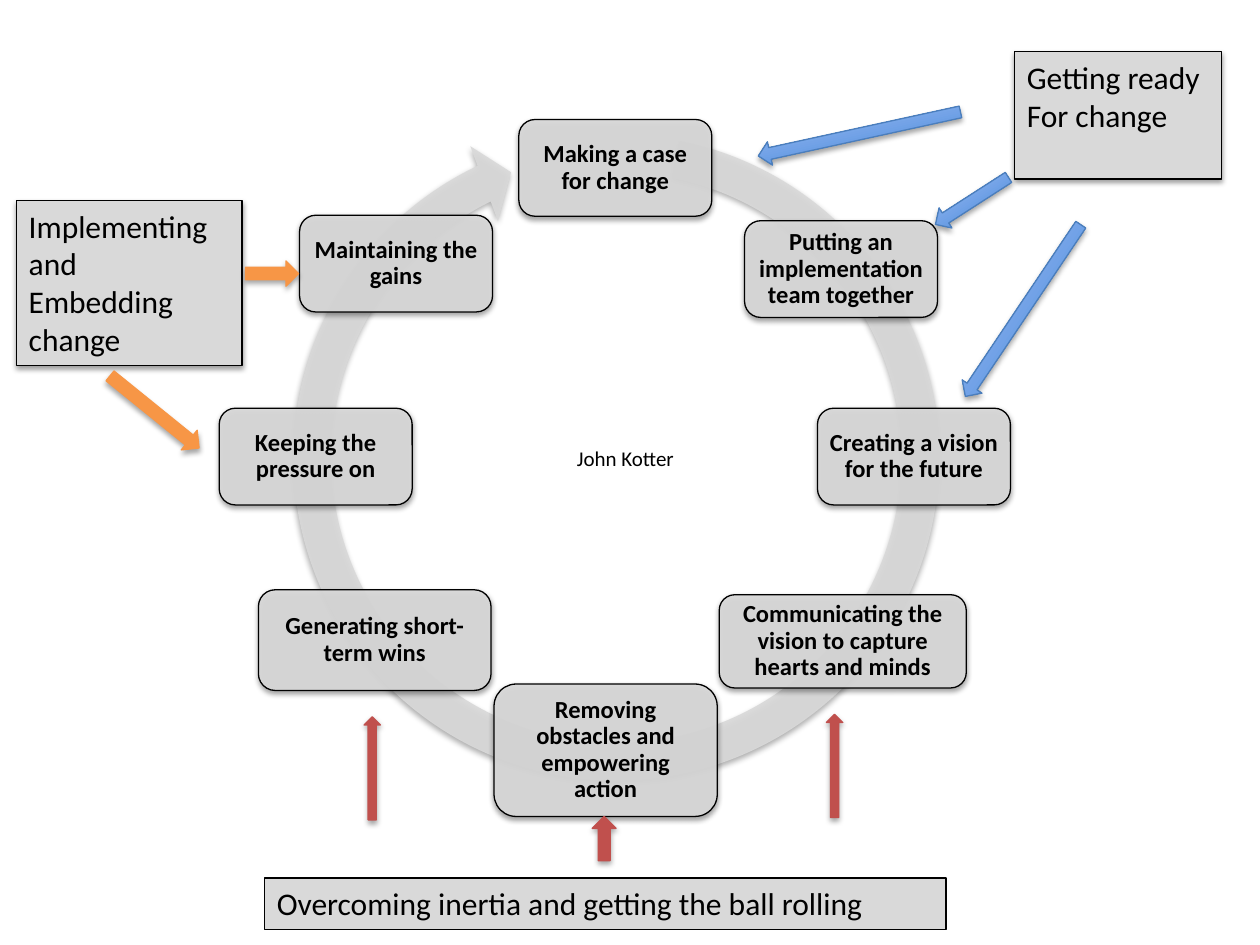
from dataclasses import dataclass

import lxml.etree
import pptx
import pptx.dml.color
import pptx.enum.shapes
import pptx.enum.text
import pptx.oxml.ns
import pptx.util

Cm = pptx.util.Cm
Pt = pptx.util.Pt
SHAPES = pptx.enum.shapes.MSO_SHAPE
ALIGN = pptx.enum.text.PP_ALIGN
ANCHOR = pptx.enum.text.MSO_ANCHOR

FONT = "Calibri"
COLORS = {
    "text": "000000",
    "panel": "D9D9D9",
    "blue_dark": "3F80CE",
    "blue_light": "A4C4FF",
    "blue_edge": "4B7EBC",
    "red": "C0504D",
    "orange": "F79646",
}


@dataclass(frozen=True)
class Box:
    """Position and size in centimetres."""
    left: float
    top: float
    width: float
    height: float

    def lengths(self):
        return Cm(self.left), Cm(self.top), Cm(self.width), Cm(self.height)


@dataclass(frozen=True)
class Step:
    label: str
    left: float
    top: float
    width: float = 3.89
    height: float = 1.95


@dataclass(frozen=True)
class Phase:
    lines: tuple[str, ...]
    box: Box
    raised: bool = True


@dataclass(frozen=True)
class Pointer:
    preset: SHAPES
    color: str
    box: Box
    rotation: float = 0


STEPS = (
    Step("Making a case for change", 10.46, 2.41),
    Step("Putting an implementation team together", 15.01, 4.45),
    Step("Creating a vision for the future", 16.48, 8.23),
    Step("Communicating the vision to capture hearts and minds", 14.5, 11.99, 4.98, 1.88),
    Step("Removing obstacles and empowering action", 9.96, 13.79, 4.5, 2.67),
    Step("Generating short-term wins", 5.21, 11.89, 4.69, 2.03),
    Step("Keeping the pressure on", 4.42, 8.23),
    Step("Maintaining the gains", 6.04, 4.34),
)
PHASES = (
    Phase(("Getting ready", "For change"), Box(20.45, 1.04, 4.17, 2.57)),
    Phase(("Overcoming inertia and getting the ball rolling",),
          Box(5.33, 17.7, 13.74, 1.04), raised=False),
    Phase(("Implementing and", "Embedding", "change"), Box(0.33, 4.04, 4.55, 3.33)),
)
POINTERS = (
    Pointer(SHAPES.LEFT_ARROW, "blue", Box(15.24, 2.46, 4.17, 0.48), 347.7),
    Pointer(SHAPES.LEFT_ARROW, "blue", Box(18.72, 3.81, 1.75, 0.48), 327.2),
    Pointer(SHAPES.LEFT_ARROW, "blue", Box(18.54, 6.02, 4.17, 0.48), 303.9),
    Pointer(SHAPES.UP_ARROW, "red", Box(16.66, 14.4, 0.33, 2.08)),
    Pointer(SHAPES.UP_ARROW, "red", Box(7.34, 14.45, 0.33, 2.08)),
    Pointer(SHAPES.UP_ARROW, "red", Box(11.94, 16.46, 0.48, 0.89)),
    Pointer(SHAPES.RIGHT_ARROW, "orange", Box(4.95, 5.26, 1.07, 0.51)),
    Pointer(SHAPES.RIGHT_ARROW, "orange", Box(1.96, 8.05, 2.31, 0.51), 39),
)
RING_ADJUSTMENTS = (0.055, 3.307, 146.545, 168.712, 0.058)


def rgb(name: str) -> pptx.dml.color.RGBColor:
    return pptx.dml.color.RGBColor.from_string(COLORS[name])


def add_child(parent, tag: str, **attributes):
    child = lxml.etree.SubElement(parent, pptx.oxml.ns.qn(tag))
    for name, value in attributes.items():
        child.set(name, str(value))
    return child


def add_shadow(shape, opacity: int, distance: float) -> None:
    effects = shape._element.spPr.find(pptx.oxml.ns.qn("a:effectLst"))
    shadow = add_child(effects, "a:outerShdw", blurRad=Pt(3.1), dist=Pt(distance),
                       dir=90 * 60000, rotWithShape=0)
    color = add_child(shadow, "a:srgbClr", val="000000")
    add_child(color, "a:alpha", val=opacity * 1000)


def add_preset(slide, preset: SHAPES, box: Box, fill: str, line: str | None = None,
               opacity: int = 100):
    shape = slide.shapes.add_shape(preset, *box.lengths())
    shape.shadow.inherit = False
    shape.fill.solid()
    shape.fill.fore_color.rgb = rgb(fill)
    if opacity < 100:
        color = shape._element.spPr.find(".//" + pptx.oxml.ns.qn("a:srgbClr"))
        add_child(color, "a:alpha", val=opacity * 1000)
    if line:
        shape.line.color.rgb = rgb(line)
        shape.line.width = Pt(0.75)
    else:
        shape.line.fill.background()
    return shape


def write(frame, lines: tuple[str, ...], size: int, align=ALIGN.LEFT,
          anchor=ANCHOR.TOP, bold: bool = False, spacing: float = 1.0) -> None:
    frame.vertical_anchor = anchor
    for index, line in enumerate(lines):
        paragraph = frame.add_paragraph() if index else frame.paragraphs[0]
        paragraph.alignment = align
        paragraph.line_spacing = spacing
        run = paragraph.add_run()
        run.text = line
        run.font.name = FONT
        run.font.size = Pt(size)
        run.font.bold = bold
        run.font.color.rgb = rgb("text")


def draw_ring(slide) -> None:
    ring = add_preset(slide, SHAPES.CIRCULAR_ARROW, Box(5.49, 2.29, 13.87, 13.87),
                      "panel", opacity=92)
    for index, value in enumerate(RING_ADJUSTMENTS):
        ring.adjustments[index] = value
    add_shadow(ring, 35, 1.8)


def draw_step(slide, step: Step) -> None:
    box = Box(step.left, step.top, step.width, step.height)
    node = add_preset(slide, SHAPES.ROUNDED_RECTANGLE, box, "panel", "text", opacity=92)
    add_shadow(node, 38, 1.6)
    frame = node.text_frame
    frame.word_wrap = True
    frame.margin_left = frame.margin_right = Cm(0.15)
    frame.margin_top = frame.margin_bottom = Cm(0.15)
    write(frame, (step.label,), 14, ALIGN.CENTER, ANCHOR.MIDDLE, bold=True, spacing=0.9)


def draw_phase(slide, phase: Phase) -> None:
    panel = add_preset(slide, SHAPES.RECTANGLE, phase.box, "panel", "text")
    if phase.raised:
        add_shadow(panel, 38, 1.6)
    panel.text_frame.word_wrap = True
    write(panel.text_frame, phase.lines, 18)


def draw_pointer(slide, pointer: Pointer) -> None:
    is_blue = pointer.color == "blue"
    fill, line = ("blue_dark", "blue_edge") if is_blue else (pointer.color,) * 2
    arrow = add_preset(slide, pointer.preset, pointer.box, fill, line)
    if is_blue:
        arrow.fill.gradient()
        arrow.fill.gradient_angle = 90
        for stop, name in zip(arrow.fill.gradient_stops, ("blue_dark", "blue_light")):
            stop.color.rgb = rgb(name)
    arrow.rotation = pointer.rotation
    add_shadow(arrow, 35, 1.8)


def main() -> None:
    deck = pptx.Presentation()
    deck.slide_width, deck.slide_height = Cm(25.4), Cm(19.05)
    slide = deck.slides.add_slide(deck.slide_layouts[6])

    draw_ring(slide)
    for step in STEPS:
        draw_step(slide, step)
    for phase in PHASES:
        draw_phase(slide, phase)
    author = slide.shapes.add_textbox(*Box(11.38, 8.86, 2.51, 0.76).lengths())
    author.text_frame.word_wrap = False
    write(author.text_frame, ("John Kotter",), 12)
    for pointer in POINTERS:
        draw_pointer(slide, pointer)

    deck.save("out.pptx")


if __name__ == "__main__":
    main()
